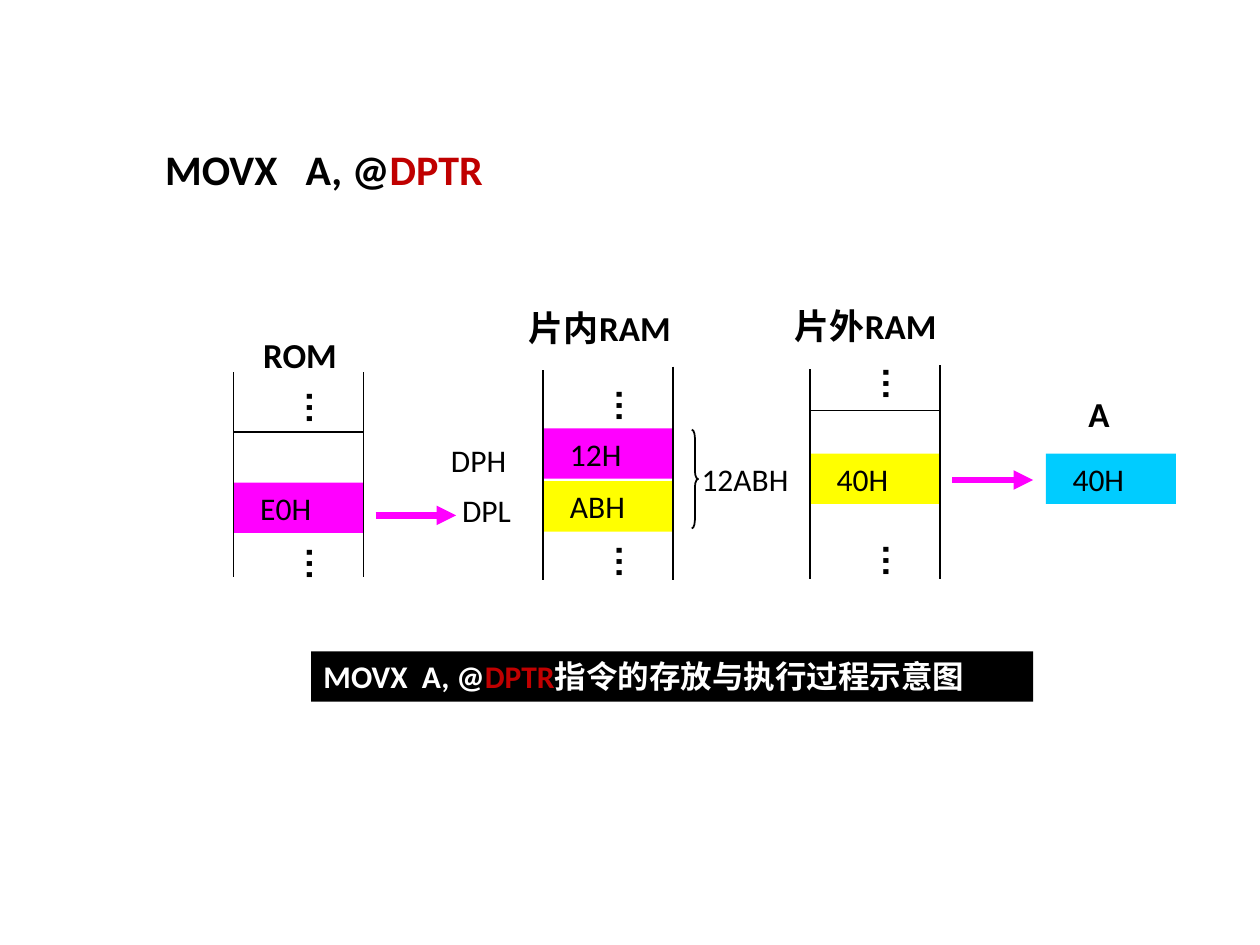
from dataclasses import dataclass

from lxml import etree
from pptx import Presentation
from pptx.dml.color import RGBColor
from pptx.enum import shapes, text
from pptx.oxml import ns
from pptx.util import Pt


@dataclass(frozen=True)
class Theme:
    font: str = "Calibri"
    dots_font: str = "Arial"
    black: str = "000000"
    white: str = "FFFFFF"
    red: str = "C00000"
    pink: str = "FF00FF"
    yellow: str = "FFFF00"
    cyan: str = "00CCFF"
    title: int = 24
    label: int = 20
    body: int = 18


T = Theme()
CELL_W, CELL_H = 74.4, 28.8
DOTS_DX = 27.4
CELL_INDENT = 15.3


def rgb(color):
    return RGBColor.from_string(color)


def write(sp, runs, size=T.body, color=T.black, bold=False, font=T.font,
          wrap=True, grow=True, left=7.2, vertical=False, tab=None):
    tf = sp.text_frame
    tf.word_wrap = wrap
    tf.auto_size = (text.MSO_AUTO_SIZE.SHAPE_TO_FIT_TEXT if grow
                    else text.MSO_AUTO_SIZE.NONE)
    tf.vertical_anchor = text.MSO_ANCHOR.TOP
    side, end = (3.6, 7.2) if vertical else (7.2, 3.6)
    tf.margin_left, tf.margin_right = Pt(side if vertical else left), Pt(side)
    tf.margin_top = tf.margin_bottom = Pt(end)
    if vertical:
        tf._txBody.bodyPr.set("vert", "eaVert")
    p = tf.paragraphs[0]
    p.alignment = text.PP_ALIGN.LEFT
    if tab:
        tabs = etree.SubElement(p._p.get_or_add_pPr(), ns.qn("a:tabLst"))
        etree.SubElement(tabs, ns.qn("a:tab"), pos=str(Pt(tab)), algn="l")
    for words, run_color in ([(runs, color)] if isinstance(runs, str) else runs):
        r = p.add_run()
        r.text = words
        r.font.name, r.font.size, r.font.bold = font, Pt(size), bold
        r.font.color.rgb = rgb(run_color)


def add_text(s, words, x, y, w, h, **fmt):
    write(s.shapes.add_textbox(Pt(x), Pt(y), Pt(w), Pt(h)), words, **fmt)


def add_box(s, words, x, y, w, fill, **fmt):
    sp = s.shapes.add_shape(shapes.MSO_SHAPE.RECTANGLE,
                            Pt(x), Pt(y), Pt(w), Pt(CELL_H))
    sp.shadow.inherit = False
    sp.fill.solid()
    sp.fill.fore_color.rgb = rgb(fill)
    sp.line.fill.background()
    write(sp, words, **fmt)


def add_line(s, x1, y1, x2, y2, color=T.black, width=1, arrow=False):
    c = s.shapes.add_connector(shapes.MSO_CONNECTOR.STRAIGHT,
                               Pt(x1), Pt(y1), Pt(x2), Pt(y2))
    c.line.color.rgb = rgb(color)
    c.line.width = Pt(width)
    if arrow:
        etree.SubElement(c.line._get_or_add_ln(), ns.qn("a:tailEnd"), type="triangle")
    etree.SubElement(c._element.spPr, ns.qn("a:effectLst"))


def add_brace(s, x, y, w, h):
    sp = s.shapes.add_shape(shapes.MSO_SHAPE.RIGHT_BRACE,
                            Pt(x), Pt(y), Pt(w), Pt(h))
    sp.adjustments[0] = 1.3
    sp.shadow.inherit = False
    sp.fill.background()
    sp.line.color.rgb = rgb(T.black)
    sp.line.width = Pt(1)


def add_cell(s, words, x, y, fill):
    add_box(s, words, x, y, CELL_W, fill, left=CELL_INDENT)


def add_memory(s, name, name_box, x, tops, bottom, cells, dots, divider=None):
    for words, y, fill in cells:
        add_cell(s, words, x, y, fill)
    for wall_x, top in zip((x, x + CELL_W), tops):
        add_line(s, wall_x, top, wall_x, bottom)
    if divider:
        add_line(s, x, divider, x + CELL_W, divider, width=0.75)
    for y in dots:
        add_text(s, "…", x + DOTS_DX, y, 38.2, 27.4, size=T.label, bold=True,
                 font=T.dots_font, wrap=False, vertical=True)
    add_text(s, name, *name_box, 31.7, size=T.label, bold=True, wrap=False)


def add_title(s):
    sp = s.shapes.title
    sp.left, sp.top, sp.width, sp.height = Pt(87.1), Pt(78.5), Pt(573.8), Pt(36)
    write(sp, [("MOVX\tA, @", T.black), ("DPTR", T.red)],
          size=T.title, bold=True, grow=False, tab=80.3)


def main():
    prs = Presentation()
    prs.slide_width, prs.slide_height = Pt(720), Pt(540)
    s = prs.slides.add_slide(prs.slide_layouts[5])
    add_title(s)

    add_memory(s, "ROM", (143.3, 187.2, 56.9), 133.4, (212.6, 212.6), 329.8,
               [("E0H", 275.8, T.pink)], (216, 305.3), divider=246.8)
    add_memory(s, "片内RAM", (295.2, 171.4, 100), 310.4, (211.7, 209.5), 331.6,
               [("12H", 244.8, T.pink), ("ABH", 275, T.yellow)], (214.6, 303.8))
    add_memory(s, "片外RAM", (447.1, 170.6, 100), 462.8, (211, 208.8), 331,
               [("40H", 259.2, T.yellow)], (202.3, 303.1), divider=234.6)

    add_text(s, "A", 614.9, 221, 26.6, 31.7, size=T.label, bold=True, wrap=False)
    add_cell(s, "40H", 597.6, 259.2, T.cyan)

    add_text(s, "DPH", 250.6, 248.4, 56.9, CELL_H)
    add_text(s, "DPL", 257, 277.2, 49.7, CELL_H)
    add_text(s, "12ABH", 393.8, 259.2, 64.1, CELL_H, wrap=False)
    add_brace(s, 395.3, 245.5, 3.6, 56.5)

    for x, y in ((214.6, 294.5), (544.3, 274.3)):
        add_line(s, x, y, x + 46.1, y, color=T.pink, width=3.75, arrow=True)

    add_box(s, [("MOVX\tA, @", T.white), ("DPTR", T.red),
                ("指令的存放与执行过程示意图", T.white)],
            177.8, 372.2, 412.6, T.black, bold=True, tab=56.2)
    prs.save("out.pptx")


if __name__ == "__main__":
    main()
